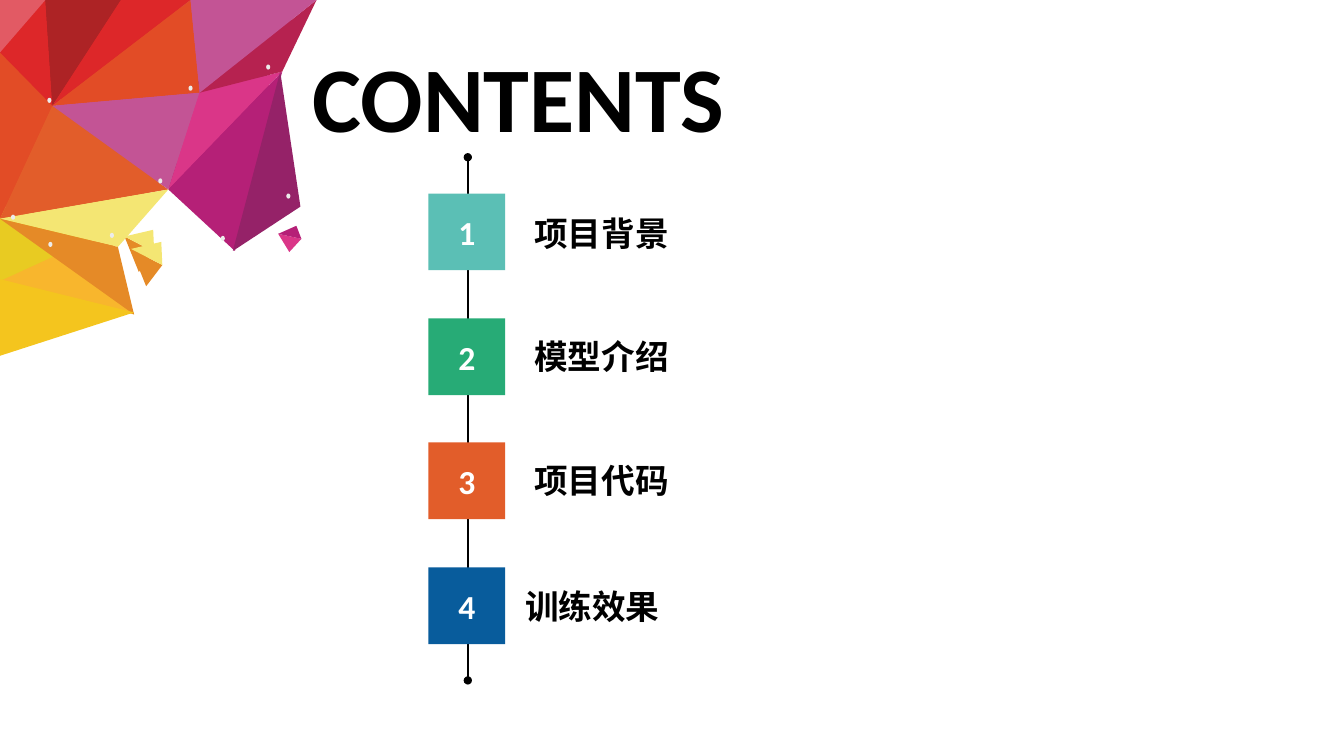
from lxml import etree
from pptx import Presentation
from pptx.dml.color import RGBColor
from pptx.enum.shapes import MSO_CONNECTOR, MSO_SHAPE
from pptx.enum.text import MSO_ANCHOR, MSO_AUTO_SIZE, PP_ALIGN
from pptx.oxml.ns import qn
from pptx.util import Pt

PX = 9144  # 100 px to the inch
OVAL, RECT = MSO_SHAPE.OVAL, MSO_SHAPE.RECTANGLE
LEFT, CENTER = PP_ALIGN.LEFT, PP_ALIGN.CENTER
MIDDLE = MSO_ANCHOR.MIDDLE
GROW = MSO_AUTO_SIZE.SHAPE_TO_FIT_TEXT
STRAIGHT = MSO_CONNECTOR.STRAIGHT


def paint(sp, color):
    """Give a shape a flat fill with no outline and no shadow."""
    sp.shadow.inherit = False
    sp.fill.solid()
    sp.fill.fore_color.rgb = RGBColor.from_string(color)
    sp.line.fill.background()


def write(sp, text, size=24, color="000000", align=LEFT):
    tf = sp.text_frame
    tf.word_wrap = True
    p = tf.paragraphs[0]
    p.alignment = align
    r = p.add_run()
    r.text = text
    r.font.name = "Calibri"
    r.font.size = Pt(size)
    r.font.bold = True
    r.font.color.rgb = RGBColor.from_string(color)


prs = Presentation()
prs.slide_width, prs.slide_height = 1333 * PX, 750 * PX
s = prs.slides.add_slide(prs.slide_layouts[6])

# Corner mesh: triangles from back to front, drawn small and then full size
AMBER = "F8B62D"
MESH = [
    ("E8CB22", (0, 217), (0, 279), (94, 236)),
    (AMBER, (0, 279), (133, 312), (94, 236)),
    ("E24C26", (0, 52), (0, 217), (52, 105)),
    ("E25D2A", (0, 217), (167, 188), (52, 105)),
    ("DD2729", (52, 105), (45, 0), (0, 52)),
    ("AD2325", (52, 105), (120, 0), (45, 0)),
    ("DD2729", (52, 105), (189, 0), (120, 0)),
    ("E24C26", (189, 0), (198, 92), (52, 105)),
    ("C35495", (167, 188), (52, 105), (198, 92)),
    ("DA3688", (167, 188), (280, 71), (198, 92)),
    ("B52077", (167, 188), (233, 249), (280, 71)),
    ("952268", (231, 249), (298, 205), (278, 71)),
    ("B62250", (198, 92), (314, 0), (280, 71)),
    ("C35495", (189, 0), (314, 0), (198, 92)),
    ("E58A27", (145, 284), (130, 247), (161, 263)),
    ("F4E673", (130, 247), (160, 240), (161, 263)),
    ("E25A64", (45, 0), (0, 0), (0, 52)),
    ("F4E673", (167, 188), (117, 245), (0, 217)),
    ("E58A27", (117, 245), (133, 312), (0, 217)),
    ("F4C51E", (0, 277), (0, 353), (133, 310)),
]
SHARD = [
    ("DA3688", (287, 250), (276, 232), (299, 237)),
    ("B52077", (276, 232), (294, 224), (299, 237)),
]
mesh = s.shapes.add_group_shape()
for ratio, triangles in ((0.95, MESH), (1, MESH + SHARD)):
    for color, start, *others in triangles:
        outline = mesh.shapes.build_freeform(*start, scale=PX * ratio)
        outline.add_line_segments(others, close=True)
        paint(outline.convert_to_shape(), color)

DOTS = [(264, 64), (187, 85), (157, 177), (47, 97), (48, 240),
        (11, 213), (109, 231), (219, 234), (284, 192)]
for x, y in DOTS:
    paint(mesh.shapes.add_shape(OVAL, x * PX, y * PX, 4 * PX, 5 * PX), "ECECEB")

# Heading
title = s.shapes.add_textbox(300 * PX, 35 * PX, 638 * PX, 121 * PX)
title.text_frame.auto_size = GROW
write(title, "CONTENTS", size=66)

# Vertical line with round ends
axis = s.shapes.add_connector(STRAIGHT, 464 * PX, 156 * PX, 464 * PX, 675 * PX)
axis.line.color.rgb = RGBColor.from_string("000000")
axis.line.width = Pt(1.75)
ln = axis.line._get_or_add_ln()
for end in ("a:headEnd", "a:tailEnd"):
    etree.SubElement(ln, qn(end), type="oval")
etree.SubElement(axis._element.spPr, qn("a:effectLst"))

# Numbered entries: square top, label left, label top
ENTRIES = [
    ("项目背景", "5BBFB5", 192, 520, 206),
    ("模型介绍", "27AB76", 316, 520, 328),
    ("项目代码", "E25D2A", 439, 520, 451),
    ("训练效果", "085C9C", 563, 511, 576),
]
for number, (text, color, top, label_x, label_y) in enumerate(ENTRIES, 1):
    square = s.shapes.add_shape(RECT, 425 * PX, top * PX, 76 * PX, 76 * PX)
    paint(square, color)
    square.text_frame.vertical_anchor = MIDDLE
    write(square, str(number), color="FFFFFF", align=CENTER)
    label = s.shapes.add_textbox(label_x * PX, label_y * PX, 438 * PX, 51 * PX)
    label.text_frame.auto_size = GROW
    write(label, text)

prs.save("out.pptx")
